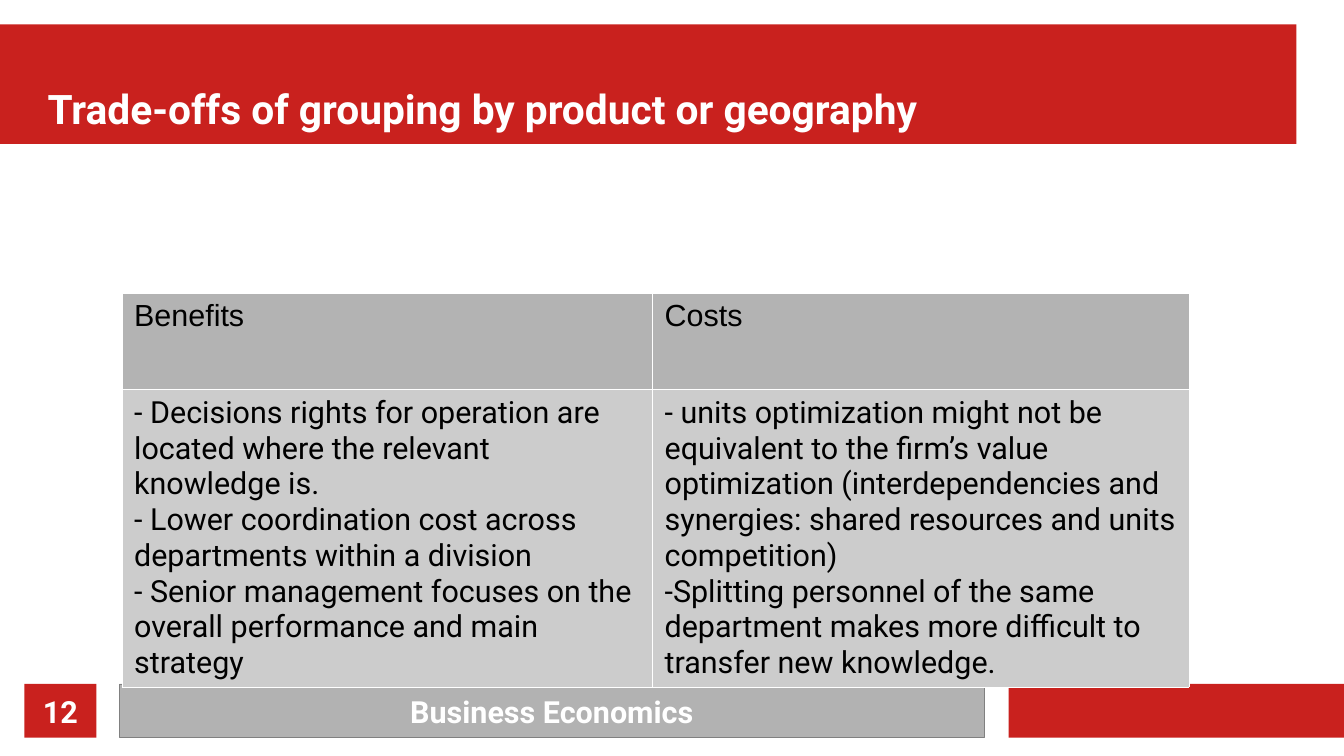
from dataclasses import dataclass

from lxml import etree
from pptx import Presentation
from pptx import util as u
from pptx.dml import color
from pptx.enum import shapes, text
from pptx.oxml import ns


@dataclass(frozen=True)
class Theme:
    red: str = "C9211E"
    bar_grey: str = "B2B2B2"
    outline: str = "808080"
    header: str = "B3B3B3"
    body: str = "CCCCCC"
    white: str = "FFFFFF"
    black: str = "000000"
    font: str = "Roboto"
    header_font: str = "Arial"
    title_size: int = 24
    text_size: int = 18


THEME = Theme()
COLUMNS = {
    "Benefits": [
        "- Decisions rights for operation are located where the relevant knowledge is.",
        "- Lower coordination cost across departments within a division",
        "- Senior management focuses on the overall performance and main strategy",
    ],
    "Costs": [
        "- units optimization might not be equivalent to the firm’s value optimization "
        "(interdependencies and synergies: shared resources and units competition)",
        "-Splitting personnel of the same department makes more difficult to transfer "
        "new knowledge.",
    ],
}


def rgb(value):
    """Turn a hex string into a colour."""
    return color.RGBColor.from_string(value)


def write(frame, lines, size, ink, font=THEME.font, bold=False, align=text.PP_ALIGN.LEFT):
    """Write one paragraph per line into a text frame."""
    frame.word_wrap = True
    for index, line in enumerate(lines):
        paragraph = frame.paragraphs[0] if index == 0 else frame.add_paragraph()
        paragraph.alignment = align
        run = paragraph.add_run()
        run.text = line
        run.font.name = font
        run.font.size = u.Pt(size)
        run.font.bold = bold
        run.font.color.rgb = rgb(ink)


def set_margins(frame, anchor):
    """Remove the insets of a frame and anchor its text."""
    frame.margin_left = frame.margin_right = frame.margin_top = frame.margin_bottom = 0
    frame.vertical_anchor = anchor


def add_bar(slide, box, fill, label=None, outline=None):
    """Add a filled bar with an optional centred label."""
    bar = slide.shapes.add_shape(shapes.MSO_SHAPE.RECTANGLE, *map(u.Inches, box))
    bar.shadow.inherit = False
    bar.fill.solid()
    bar.fill.fore_color.rgb = rgb(fill)
    if outline:
        bar.line.color.rgb = rgb(outline)
        bar.line.width = u.Pt(0.25)
    else:
        bar.line.fill.background()
    if label:
        set_margins(bar.text_frame, text.MSO_ANCHOR.MIDDLE)
        write(bar.text_frame, [label], THEME.text_size, THEME.white, bold=True,
              align=text.PP_ALIGN.CENTER)
    return bar


def add_heading(slide, box, title_text):
    """Place the title placeholder on a red band."""
    left, top, width, height = box
    band = add_bar(slide, box, THEME.red)
    title = slide.shapes.title
    title.element.addprevious(band.element)
    title.left, title.top = u.Inches(left + 0.39), u.Inches(top + 0.1)
    title.width, title.height = u.Inches(width - 0.39), u.Inches(height - 0.19)
    set_margins(title.text_frame, text.MSO_ANCHOR.BOTTOM)
    title.text_frame.auto_size = text.MSO_AUTO_SIZE.NONE
    write(title.text_frame, [title_text], THEME.title_size, THEME.white, bold=True)


def add_footer(slide, box, number, label):
    """Place the page number, the course bar and the end bar in a row."""
    left, top, width, height = box
    add_bar(slide, (left + 8.07, top, width - 8.07, height), THEME.red)
    add_bar(slide, (left + 0.78, top, 7.09, height), THEME.bar_grey, label, THEME.outline)
    add_bar(slide, (left, top, 0.59, height), THEME.red, number)


def set_borders(cell):
    """Draw thin white borders on all sides of a cell."""
    properties = cell._tc.get_or_add_tcPr()
    for index, side in enumerate(("a:lnL", "a:lnR", "a:lnT", "a:lnB")):
        line = etree.Element(ns.qn(side), w=str(u.Pt(0.06)))
        fill = etree.SubElement(line, ns.qn("a:solidFill"))
        etree.SubElement(fill, ns.qn("a:srgbClr"), val=THEME.white)
        properties.insert(index, line)


def fill_cell(cell, lines, fill, font):
    """Fill, border and write one table cell."""
    cell.fill.solid()
    cell.fill.fore_color.rgb = rgb(fill)
    set_borders(cell)
    write(cell.text_frame, lines, THEME.text_size, THEME.black, font)


def add_comparison(slide, box, columns, widths, header_height):
    """Add a table with one headed column per entry."""
    table = slide.shapes.add_table(2, len(columns), *map(u.Inches, box)).table
    table.first_row = table.horz_banding = False
    table.rows[0].height = u.Inches(header_height)
    table.rows[1].height = u.Inches(box[3] - header_height)
    for index, (heading, lines) in enumerate(columns.items()):
        table.columns[index].width = u.Inches(widths[index])
        fill_cell(table.cell(0, index), [heading], THEME.header, THEME.header_font)
        fill_cell(table.cell(1, index), lines, THEME.body, THEME.font)


def main():
    """Build and save the slide."""
    presentation = Presentation()
    presentation.slide_width, presentation.slide_height = u.Inches(11.02), u.Inches(6.2)
    slide = presentation.slides.add_slide(presentation.slide_layouts[5])
    add_heading(slide, (0, 0.2, 10.63, 0.98), "Trade-offs of grouping by product or geography")
    add_footer(slide, (0.2, 5.61, 10.82, 0.44), "12", "Business Economics")
    add_comparison(slide, (1, 2.4, 8.75, 3.23), COLUMNS, (4.35, 4.4), 0.79)
    presentation.save("out.pptx")


if __name__ == "__main__":
    main()
